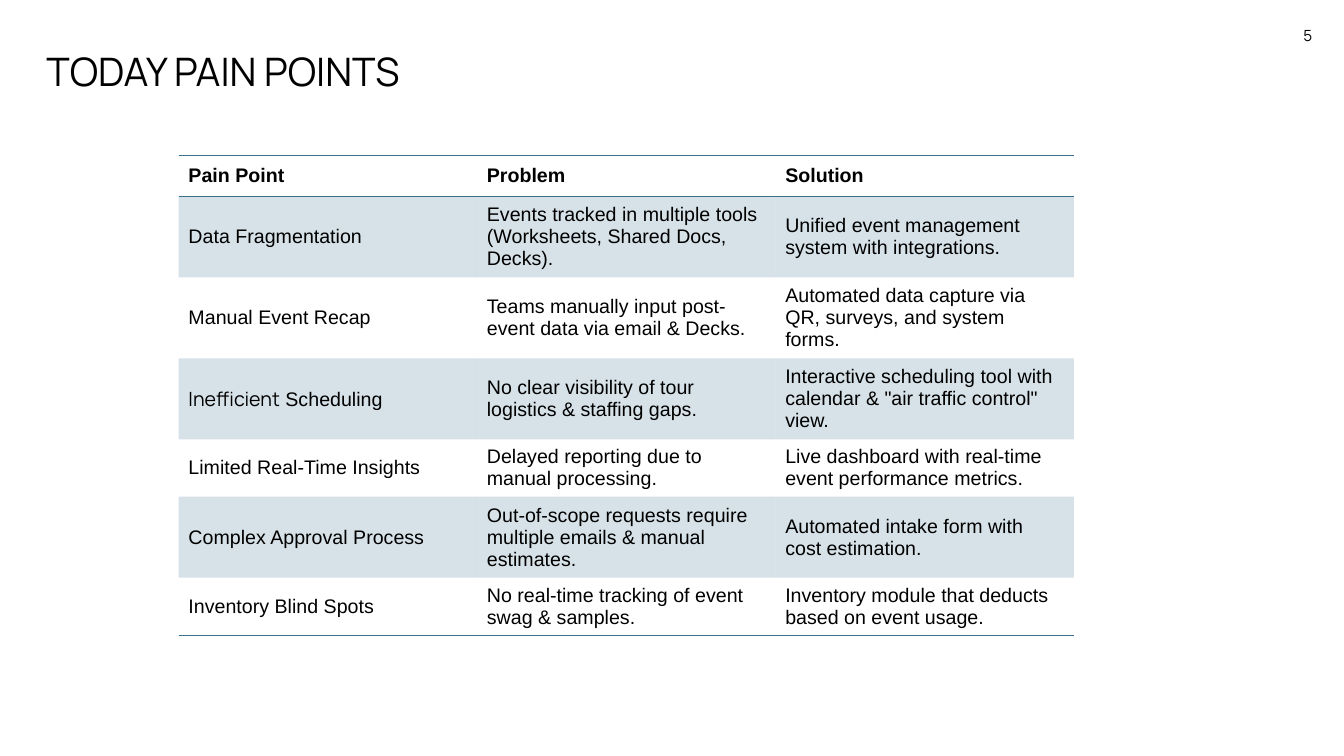
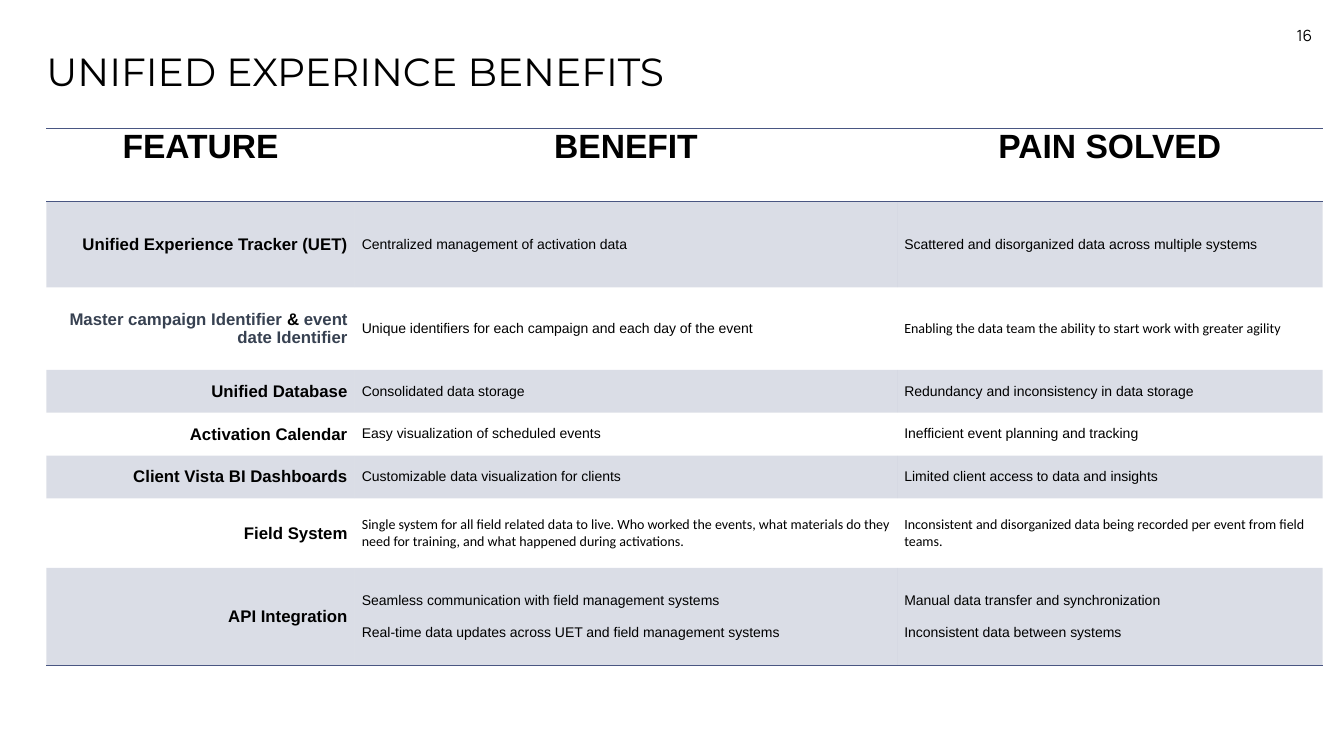
from lxml import etree
from pptx import Presentation
from pptx.dml.color import RGBColor
from pptx.enum.text import MSO_ANCHOR, PP_ALIGN
from pptx.oxml.ns import qn
from pptx.util import Cm, Pt

LEFT, CENTER, RIGHT = PP_ALIGN.LEFT, PP_ALIGN.CENTER, PP_ALIGN.RIGHT
TOP, MIDDLE = MSO_ANCHOR.TOP, MSO_ANCHOR.MIDDLE
TITLE_ONLY = 5
NO_STYLE = "{2D5ABB26-0587-4C30-8999-92F81FD0307C}"

COLORS = {"text": "000000", "muted": "374151", "teal": "39708C", "indigo": "495682"}
BAND_ALPHA = 20

TITLE_BOX = (1.17, 1.37, 31.55, 2.54)
NUMBER_BOX = (25.7, 0.38, 7.62, 1.02)

BODY = {"name": "Arial", "size": Pt(14), "bold": False}
HEAD = {**BODY, "bold": True}
BENEFIT_HEAD = {**HEAD, "size": Pt(24)}
FEATURE = {**HEAD, "size": Pt(12)}
DETAIL = {**BODY, "size": Pt(10)}
MANROPE = {"name": "Manrope"}
CALIBRI = {"name": "Calibri"}
MUTED = {"color": "muted"}

PAIN_POINTS = [
    ["Pain Point", "Problem", "Solution"],
    ["Data Fragmentation",
     "Events tracked in multiple tools (Worksheets, Shared Docs, Decks).",
     "Unified event management system with integrations."],
    ["Manual Event Recap",
     "Teams manually input post-event data via email & Decks.",
     "Automated data capture via QR, surveys, and system forms."],
    [[("Inefficient", MANROPE), (" Scheduling", {})],
     "No clear visibility of tour logistics & staffing gaps.",
     'Interactive scheduling tool with calendar & "air traffic control" view.'],
    ["Limited Real-Time Insights",
     "Delayed reporting due to manual processing.",
     "Live dashboard with real-time event performance metrics."],
    ["Complex Approval Process",
     "Out-of-scope requests require multiple emails & manual estimates.",
     "Automated intake form with cost estimation."],
    ["Inventory Blind Spots",
     "No real-time tracking of event swag & samples.",
     "Inventory module that deducts based on event usage."],
]

BENEFITS = [
    ["FEATURE", "BENEFIT", "PAIN SOLVED"],
    ["Unified Experience Tracker (UET)",
     "Centralized management of activation data",
     "Scattered and disorganized data across multiple systems"],
    [[("Master campaign Identifier ", MUTED), ("& ", {}),
      ("event date Identifier", MUTED)],
     "Unique identifiers for each campaign and each day of the event",
     [("Enabling the data team the ability to start work with greater agility",
       CALIBRI)]],
    ["Unified Database", "Consolidated data storage",
     "Redundancy and inconsistency in data storage"],
    ["Activation Calendar", "Easy visualization of scheduled events",
     "Inefficient event planning and tracking"],
    ["Client Vista BI Dashboards", "Customizable data visualization for clients",
     "Limited client access to data and insights"],
    ["Field System",
     [("Single system for all field related data to live. Who worked the events, "
       "what materials do they need for training, and what happened during "
       "activations.", CALIBRI)],
     [("Inconsistent and disorganized data being recorded per event from field "
       "teams.", CALIBRI)]],
    ["API Integration",
     "Seamless communication with field management systems\n"
     "Real-time data updates across UET and field management systems",
     "Manual data transfer and synchronization\n"
     "Inconsistent data between systems"],
]


def add_run(p, text, fmt):
    r = p.add_run()
    r.text = text
    fmt = dict(fmt)
    r.font.color.rgb = RGBColor.from_string(COLORS[fmt.pop("color", "text")])
    for key, value in fmt.items():
        setattr(r.font, key, value)


def write(tf, content, fmt, align=LEFT, **para):
    """Fill a frame from a string, one paragraph a line, or from (text, format) runs."""
    if isinstance(content, str):
        paragraphs = [[(line, {})] for line in content.split("\n")]
    else:
        paragraphs = [content]
    if len(paragraphs) > 1:
        para["space_after"] = Pt(11.5)
    for i, runs in enumerate(paragraphs):
        p = tf.add_paragraph() if i else tf.paragraphs[0]
        for key, value in {"alignment": align, **para}.items():
            setattr(p, key, value)
        for text, extra in runs:
            add_run(p, text, {**fmt, **extra})


def set_frame(tf, anchor, inset_x, inset_y):
    frame = {"word_wrap": True, "vertical_anchor": anchor,
             "margin_left": Cm(inset_x), "margin_right": Cm(inset_x),
             "margin_top": Cm(inset_y), "margin_bottom": Cm(inset_y)}
    for key, value in frame.items():
        setattr(tf, key, value)


def add_page(prs, title, title_font, number):
    """Add a slide with its title and page number."""
    s = prs.slides.add_slide(prs.slide_layouts[TITLE_ONLY])
    sp = s.shapes.title
    sp.left, sp.top, sp.width, sp.height = map(Cm, TITLE_BOX)
    set_frame(sp.text_frame, TOP, 0, 0)
    write(sp.text_frame, title, {"name": title_font, "size": Pt(28)},
          line_spacing=0.85)

    tf = s.shapes.add_textbox(*map(Cm, NUMBER_BOX)).text_frame
    set_frame(tf, MIDDLE, 0.25, 0.13)
    write(tf, str(number), {**MANROPE, "size": Pt(11)}, RIGHT)
    return s


def add_border(cell, side, color):
    ln = etree.SubElement(cell._tc.get_or_add_tcPr(), qn(f"a:{side}"), w=str(Pt(1)))
    fill = etree.SubElement(ln, qn("a:solidFill"))
    etree.SubElement(fill, qn("a:srgbClr"), val=COLORS[color])


def fill_band(cell, color):
    cell.fill.solid()
    cell.fill.fore_color.rgb = RGBColor.from_string(COLORS[color])
    for clr in cell._tc.tcPr.findall(qn("a:solidFill") + "/" + qn("a:srgbClr")):
        etree.SubElement(clr, qn("a:alpha"), val=str(BAND_ALPHA * 1000))


def add_ruled_table(s, left, top, widths, heights, rows, color, style):
    """Add a table with rules round its header, a closing rule and shaded odd rows."""
    box = map(Cm, (left, top, sum(widths), sum(heights)))
    table = s.shapes.add_table(len(rows), len(widths), *box).table
    table._tbl.tblPr.find(qn("a:tableStyleId")).text = NO_STYLE
    for column, width in zip(table.columns, widths):
        column.width = Cm(width)
    for i, (row, height, contents) in enumerate(zip(table.rows, heights, rows)):
        row.height = Cm(height)
        for j, (cell, content) in enumerate(zip(row.cells, contents)):
            fmt, align, anchor = style["head"] if i == 0 else style["columns"][j]
            inset_x, inset_y = style["insets"]
            cell.vertical_anchor = anchor
            cell.margin_left = cell.margin_right = Cm(inset_x)
            cell.margin_top = cell.margin_bottom = Cm(inset_y)
            write(cell.text_frame, content, fmt, align)
            if i == 0:
                add_border(cell, "lnT", color)
            if i in (0, len(rows) - 1):
                add_border(cell, "lnB", color)
            if i % 2:
                fill_band(cell, color)
            else:
                cell.fill.background()


def add_pain_points(prs):
    s = add_page(prs, "TODAY PAIN POINTS", "Manrope", 5)
    style = {"head": (HEAD, LEFT, MIDDLE),
             "columns": [(BODY, LEFT, MIDDLE)] * 3,
             "insets": (0.25, 0.13)}
    add_ruled_table(s, 4.5, 3.91, [7.52] * 3, [1.04] * len(PAIN_POINTS),
                    PAIN_POINTS, "teal", style)


def add_benefits(prs):
    s = add_page(prs, "UNIFIED EXPERINCE BENEFITS", "Montserrat", 16)
    detail = (DETAIL, LEFT, MIDDLE)
    style = {"head": (BENEFIT_HEAD, CENTER, TOP),
             "columns": [(FEATURE, RIGHT, MIDDLE), detail, detail],
             "insets": (0.18, 0)}
    heights = [1.85, 2.16, 2.08, 1.08, 1.08, 1.08, 1.75, 2.46]
    add_ruled_table(s, 1.17, 3.23, [7.77, 13.67, 10.72], heights,
                    BENEFITS, "indigo", style)


def main():
    prs = Presentation()
    prs.slide_width, prs.slide_height = Cm(33.87), Cm(19.05)
    add_pain_points(prs)
    add_benefits(prs)
    prs.save("out.pptx")


if __name__ == "__main__":
    main()
